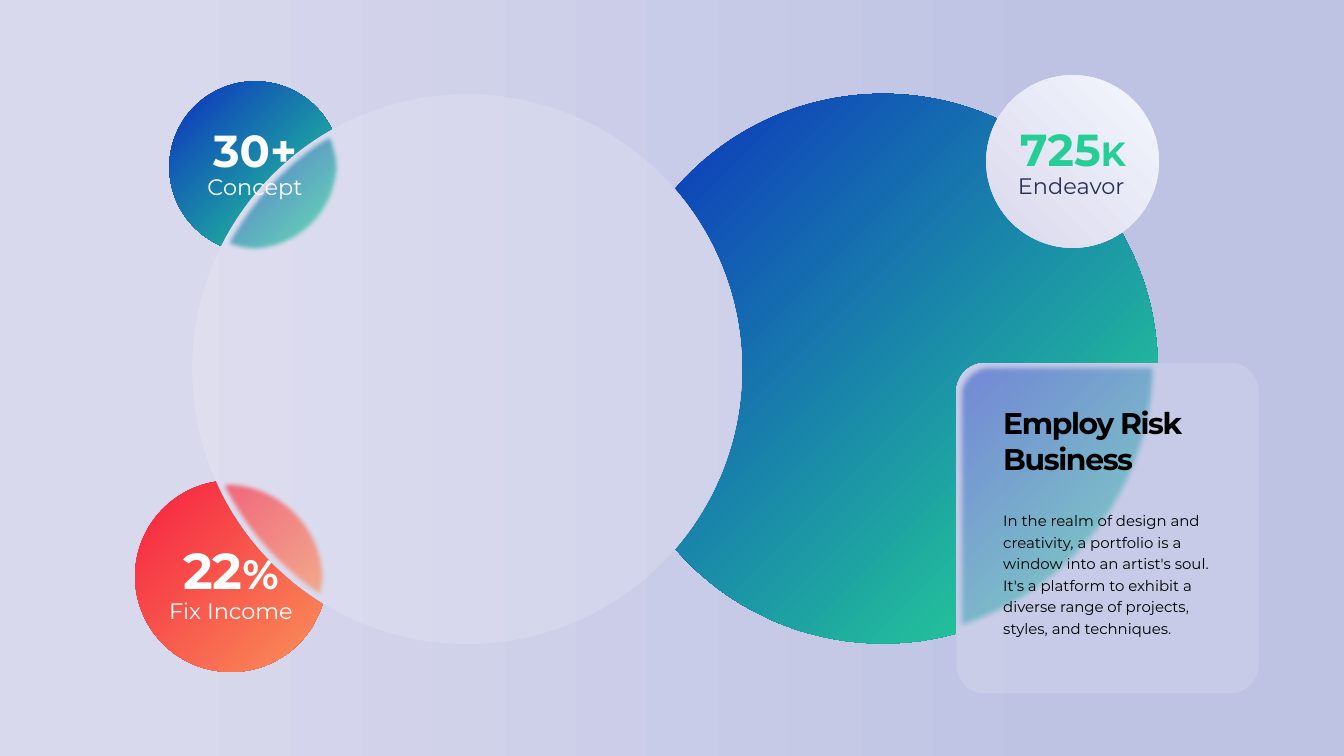
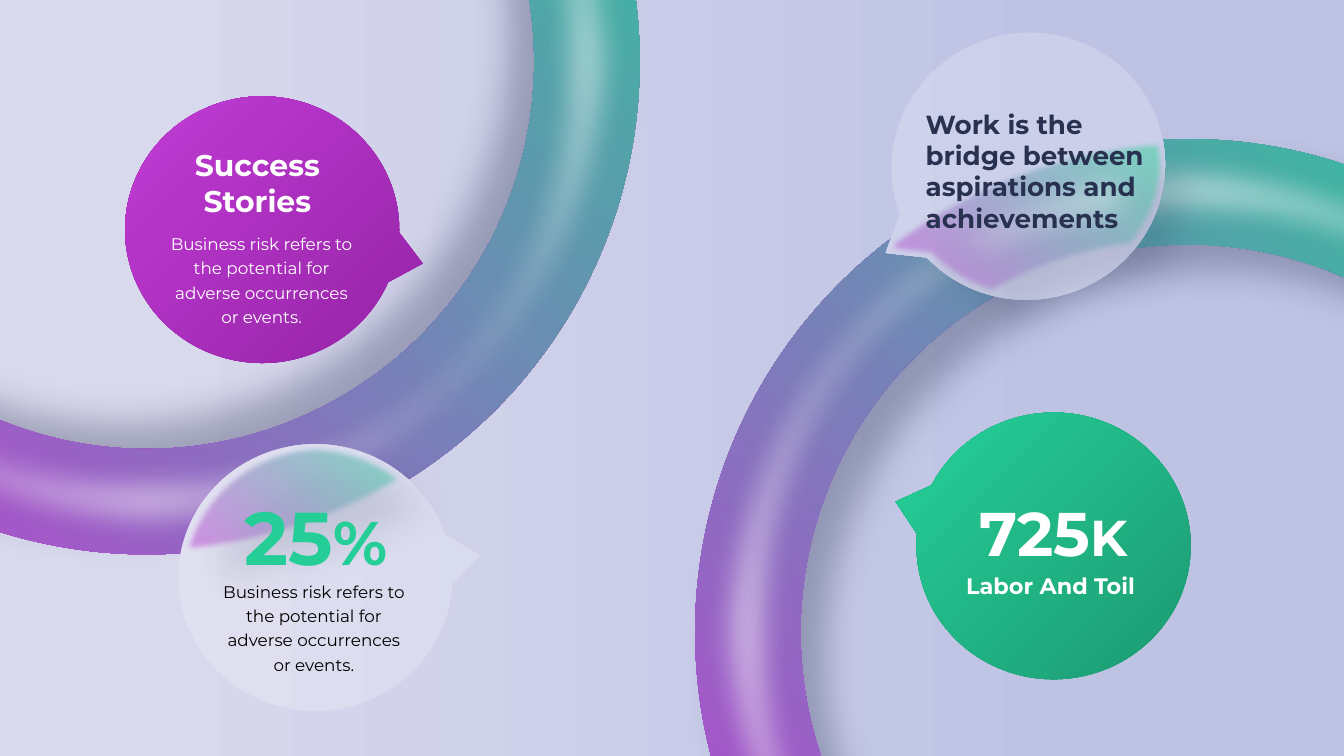
from dataclasses import dataclass

import pptx
import pptx.dml.color
import pptx.enum.shapes
import pptx.enum.text
import pptx.oxml.ns
import pptx.util
from lxml import etree

Pt = pptx.util.Pt
qn = pptx.oxml.ns.qn
SHAPES = pptx.enum.shapes.MSO_SHAPE
ALIGN = pptx.enum.text.PP_ALIGN


@dataclass(frozen=True)
class Blend:
    """Gradient: (position, colour) stops, then an angle or the focus (left, top, right, bottom)."""
    stops: tuple
    angle: int = 0
    focus: tuple = ()


BOTTOM_RIGHT, TOP_RIGHT, TOP_LEFT = (100, 100, 0, 0), (100, 0, 0, 100), (0, 0, 100, 100)


@dataclass(frozen=True)
class Theme:
    font: str = "Montserrat"
    white: str = "FFFFFF"
    black: str = "000000"
    navy: str = "283250"
    backdrop: Blend = Blend(((11, "D9D9ED"), (80, "BEC3E4")))
    ocean: Blend = Blend(((11, "25CE97"), (100, "0B2EC0")), focus=BOTTOM_RIGHT)
    sunset: Blend = Blend(((11, "F98657"), (100, "F61F40")), focus=BOTTOM_RIGHT)
    pearl: Blend = Blend(((0, "F4F6FE"), (100, "D9D9ED")), focus=TOP_RIGHT)
    aurora: Blend = Blend(((0, "25CE97"), (100, "C13CD5")), focus=TOP_RIGHT)
    violet: Blend = Blend(((0, "C13CD5"), (100, "9724A8")), focus=TOP_LEFT)
    emerald: Blend = Blend(((0, "25CE97"), (100, "1C9A71")), focus=TOP_LEFT)
    figure_slant: Blend = Blend(((11, "25CE97"), (80, "1C46F2")), angle=225)
    figure_flat: Blend = Blend(((11, "25CE97"), (80, "1C46F2")))
    # Shadows: colour, opacity, blur, distance, direction
    circle_shadow: tuple = ("282F4E", 15, 68, 73, 145)
    card_shadow: tuple = ("283250", 21, 29, 57, 154)
    ring_shadow: tuple = ("283250", 33, 39, 39, 45)
    ring_shadow_back: tuple = ("283250", 33, 39, 39, 225)
    bubble_shadow: tuple = ("283250", 21, 22, 24, 135)
    frost_edge: int = 5
    bubble_edge: int = 6
    gloss_edge: int = 32
    body: int = 16
    note: int = 18
    label: int = 24
    quote: int = 28
    heading: int = 32


THEME = Theme()


def add_child(parent, tag, **attributes):
    child = etree.SubElement(parent, qn(tag))
    for name, value in attributes.items():
        child.set(name, str(value))
    return child


def add_colour(parent, colour, opacity=100):
    node = add_child(parent, "a:srgbClr", val=colour)
    if opacity < 100:
        add_child(node, "a:alpha", val=opacity * 1000)


def paint(fill, host, colour, opacity=100):
    """Give a fill a plain colour or a Blend; host is the element that holds the fill."""
    if isinstance(colour, Blend):
        fill.gradient()
        gradient = host.find(".//" + qn("a:gradFill"))
        gradient.clear()
        gradient.set("rotWithShape", "1")
        stops = add_child(gradient, "a:gsLst")
        for position, stop_colour in colour.stops:
            add_colour(add_child(stops, "a:gs", pos=position * 1000), stop_colour, opacity)
        if colour.focus:
            radial = add_child(gradient, "a:path", path="circle")
            sides = {side: share * 1000 for side, share in zip("ltrb", colour.focus)}
            add_child(radial, "a:fillToRect", **sides)
        else:
            add_child(gradient, "a:lin", ang=colour.angle * 60000, scaled=0)
    else:
        fill.solid()
        fill.fore_color.rgb = pptx.dml.color.RGBColor.from_string(colour)
        if opacity < 100:
            node = host.find(".//" + qn("a:srgbClr"))
            add_child(node, "a:alpha", val=opacity * 1000)


def bend(shape, parts):
    """Turn the straight segments that belong to six-number parts into Bezier curves."""
    segments = list(shape._element.spPr.iter(qn("a:lnTo")))
    for segment, part in zip(segments, parts):
        if len(part) == 6:
            curve = etree.Element(qn("a:cubicBezTo"))
            for x, y in zip(part[::2], part[1::2]):
                add_child(curve, "a:pt", x=Pt(x) - shape.left, y=Pt(y) - shape.top)
            segment.getparent().replace(segment, curve)


def write(frame, *lines, size, colour, bold=False, align=ALIGN.LEFT, spacing=None, tracking=0):
    """Write one paragraph per line; a line is a text or a list of (text, size) spans."""
    for index, line in enumerate(lines):
        para = frame.paragraphs[0] if index == 0 else frame.add_paragraph()
        para.alignment = align
        if spacing:
            para.line_spacing = spacing
        for text, span_size in [(line, size)] if isinstance(line, str) else line:
            span = para.add_run()
            span.text = text
            span.font.size, span.font.bold = Pt(span_size), bold
            span.font.name = THEME.font
            properties = span._r.get_or_add_rPr()
            paint(span.font.fill, properties, colour)
            if tracking:
                properties.set("spc", str(int(tracking * 100)))


class Builder:
    def __init__(self, theme):
        self.theme = theme
        self.deck = pptx.Presentation()
        self.deck.slide_width, self.deck.slide_height = Pt(1440), Pt(810)

    def page(self):
        self.slide = self.deck.slides.add_slide(self.deck.slide_layouts[6])
        paint(self.slide.background.fill, self.slide._element, self.theme.backdrop)
        self.ungroup()

    def group(self):
        self.canvas = self.slide.shapes.add_group_shape().shapes

    def ungroup(self):
        self.canvas = self.slide.shapes

    def finish(self, shape, fill, opacity=100, shadow=None, soft=0):
        """Set fill and effects; without a fill the shape shows the page backdrop."""
        shape.shadow.inherit = False
        shape.line.fill.background()
        properties = shape._element.spPr
        if fill:
            paint(shape.fill, properties, fill, opacity)
        else:
            shape._element.set("useBgFill", "1")
        effects = properties.find(qn("a:effectLst"))
        if shadow:
            colour, strength, blur, distance, direction = shadow
            cast = add_child(effects, "a:outerShdw", blurRad=Pt(blur), dist=Pt(distance),
                             dir=direction * 60000, algn="ctr", rotWithShape=0)
            add_colour(cast, colour, strength)
        if soft:
            add_child(effects, "a:softEdge", rad=Pt(soft))
        return shape

    def shape(self, kind, at, fill=None, adjust=(), flip=False, turn=0, **finish):
        shape = self.canvas.add_shape(kind, *map(Pt, at))
        for index, value in enumerate(adjust):
            shape.adjustments[index] = value
        if flip:
            shape._element.spPr.find(qn("a:xfrm")).set("flipH", "1")
        shape.rotation = turn
        return self.finish(shape, fill, **finish)

    def circle(self, left, top, size, fill):
        self.shape(SHAPES.OVAL, (left, top, size, size), fill)

    def outline(self, parts, fill, **finish):
        """Draw a closed outline of (x, y) corners and six-number Bezier curves."""
        start, *rest = [tuple(map(Pt, part[-2:])) for part in parts]
        pen = self.canvas.build_freeform(*start)
        pen.add_line_segments(rest, close=True)
        shape = pen.convert_to_shape()
        bend(shape, parts[1:])
        self.finish(shape, fill, **finish)

    def glass(self, kind, at, frosts, shadow, sheen=15, **form):
        """Pane over the backdrop, with frosted pieces of what lies behind it and a pale sheen."""
        self.group()
        self.shape(kind, at, shadow=shadow, **form)
        for parts, fill, finish in frosts:
            self.outline(parts, fill, **finish)
        pane = self.shape(kind, at, self.theme.white, opacity=sheen, **form)
        pane.line.width = Pt(1.5)
        edge = pane.line._get_or_add_ln()
        paint(pane.line.fill, edge, self.theme.white, opacity=0)
        self.ungroup()

    def ring(self, left, top, shadow, size=1056.2, inset=9.4):
        self.group()
        self.shape(SHAPES.DONUT, (left, top, size, size), self.theme.aurora, adjust=(0.107,),
                   shadow=shadow)
        inner = size - 2 * inset
        self.shape(SHAPES.DONUT, (left + inset, top + inset, inner, inner), self.theme.white,
                   opacity=56, adjust=(0.09,), soft=self.theme.gloss_edge)
        self.ungroup()

    def bubble(self, left, top, fill, **form):
        at = (left, top, *BUBBLE)
        self.group()
        self.shape(SHAPES.OVAL_CALLOUT, at, shadow=self.theme.bubble_shadow, **form)
        self.shape(SHAPES.OVAL_CALLOUT, at, fill, **form)
        self.ungroup()

    def glass_bubble(self, left, top, tint, gloss, **form):
        frosts = [(tint, self.theme.aurora, dict(opacity=67, shadow=self.theme.ring_shadow,
                                                 soft=self.theme.bubble_edge)),
                  (gloss, self.theme.white, dict(opacity=56, soft=self.theme.gloss_edge))]
        self.glass(SHAPES.OVAL_CALLOUT, (left, top, *BUBBLE), frosts,
                   self.theme.bubble_shadow, sheen=20, **form)

    def text(self, at, *lines, **style):
        box = self.canvas.add_textbox(*map(Pt, at))
        box.text_frame.word_wrap = True
        box.text_frame.auto_size = pptx.enum.text.MSO_AUTO_SIZE.SHAPE_TO_FIT_TEXT
        write(box.text_frame, *lines, **style)

    def centred(self, at, *lines, **style):
        self.text(at, *lines, align=ALIGN.CENTER, **style)


BUBBLE = (293.8, 285.8)
RISK_NOTE = "Business risk refers to the potential for adverse occurrences or events."

CONCEPT_OVERLAP = [
    (355.7, 139), (357.8, 143.3), (362.2, 154.1, 365, 166.3, 365, 179.3),
    (365, 229.7, 324, 270.7, 273.6, 270.7), (260.6, 270.7, 248.4, 268.6, 237.6, 263.5),
    (236.9, 263.5), (241.2, 254.9), (264.2, 213.1, 296.6, 177.1, 335.5, 150.5)]
INCOME_OVERLAP = [
    (247.7, 514.8), (303.8, 514.8, 349.9, 560.9, 349.9, 617),
    (349.9, 624.2, 349.2, 631.4, 347.8, 637.9), (346.3, 645.8), (335.5, 639.4),
    (292.3, 609.8, 257.8, 570.2, 234.7, 522.7), (231.8, 516.2), (236.9, 515.5),
    (240.5, 514.8, 244.1, 514.8, 247.7, 514.8)]
CARD_OVERLAP = [
    (1055.5, 388.8), (1239.8, 388.8), (1239.8, 394.6),
    (1239.8, 527, 1152.7, 638.6, 1033.2, 676.1), (1024.6, 678.2), (1024.6, 419.8),
    (1024.6, 402.5, 1039, 388.8, 1055.5, 388.8)]
PERCENT_TINT = [
    (333.4, 475.9), (369.4, 475.2, 404.6, 486.7, 432, 508.3), (437.8, 514.1), (432, 518.4),
    (366.5, 558, 292.3, 583.9, 212.4, 591.8), (194.4, 593.3), (195.8, 585.4),
    (208.8, 534.2, 250.6, 491.8, 306, 479.5), (315.4, 477.4, 324.7, 476.6, 333.4, 475.9)]
PERCENT_GLOSS = [
    (332.6, 475.9), (364.3, 474.5, 394.6, 483.8, 420.5, 500.4), (427, 505.4), (418.3, 511.2),
    (354.2, 550.1, 280.8, 576, 202.3, 583.9), (195.1, 583.9), (198.7, 572.4),
    (214.6, 526.3, 254.2, 490.3, 305.3, 478.8), (313.9, 477.4, 323.3, 475.9, 332.6, 475.9)]
QUOTE_TINT = [
    (1245.6, 149), (1245.6, 151.9), (1252.8, 191.5, 1242.7, 231.8, 1217.5, 264.2),
    (1216.1, 265.7), (1209.6, 266.4), (1161.4, 273.6, 1116, 289.4, 1075, 311.8),
    (1065.6, 316.8), (1060.6, 316.1), (1035.4, 308.9, 1012.3, 295.2, 992.9, 275.8),
    (949, 270.7), (954.7, 254.9), (956.9, 253.4), (1031, 198, 1121, 161.3, 1219, 151.2)]
QUOTE_GLOSS = [
    (1246.3, 158.4), (1247.8, 165.6), (1249.9, 196.6, 1242, 227.5, 1225.4, 254.2),
    (1224.7, 254.2), (1208.2, 256.3), (1152, 265, 1098.7, 284.4, 1052.6, 313.2),
    (1051.2, 313.9), (1048.3, 312.5), (1027.4, 305.3, 1008.7, 293, 992.9, 276.5),
    (949, 271.4), (961.9, 260.6), (1041.8, 200.9, 1139.8, 163.4, 1245.6, 158.4)]


def build_circles(show):
    theme = show.theme
    label = dict(size=theme.label, colour=theme.white)
    show.page()
    show.circle(651.5, 100.5, 589, theme.ocean)
    show.circle(144.7, 514.8, 205.2, theme.sunset)
    show.circle(181.4, 87.1, 183.6, theme.ocean)
    show.circle(1056.7, 80.6, 185, theme.pearl)
    show.centred((1070.6, 126.7, 157.7, 65.5), [("725", 48), ("K", 36)], size=48,
                 colour=theme.figure_slant, bold=True)
    show.centred((1075.7, 180.7, 144, 36), "Endeavor", size=theme.label, colour=theme.navy)
    show.centred((182.2, 573.8, 130.3, 72.7), [("22", 54), ("%", 44)], size=54,
                 colour=theme.white, bold=True)
    show.centred((168.5, 635.8, 157.7, 36), "Fix Income", **label)

    frost = dict(opacity=78, soft=theme.frost_edge)
    show.glass(SHAPES.OVAL, (205.9, 101, 589, 589),
               [(CONCEPT_OVERLAP, theme.ocean, frost), (INCOME_OVERLAP, theme.sunset, frost)],
               theme.circle_shadow, turn=90)
    show.glass(SHAPES.ROUNDED_RECTANGLE, (1024.6, 388.8, 324, 354.2),
               [(CARD_OVERLAP, theme.ocean, dict(opacity=56, soft=theme.bubble_edge))],
               theme.card_shadow, adjust=(0.096,))
    show.text((1067.8, 429.8, 236.9, 85), "Employ Risk Business", size=theme.heading,
              colour=theme.black, bold=True, tracking=-1.5)
    show.text((1067.8, 541, 253.4, 146.9),
              "In the realm of design and creativity, a portfolio is a window into an artist's "
              "soul. It's a platform to exhibit a diverse range of projects, styles, and "
              "techniques.", size=theme.body, colour=theme.black, spacing=1.2)
    show.centred((194.4, 128.2, 157.7, 65.5), "30+", size=48, colour=theme.white, bold=True)
    show.centred((201.2, 182.2, 144, 36), "Concept", **label)


def build_bubbles(show):
    theme = show.theme
    strong = dict(colour=theme.white, bold=True)
    note = dict(size=theme.note, spacing=1.2)
    show.page()
    show.ring(-370.8, -462.2, theme.ring_shadow_back)
    show.ring(744.8, 149, theme.ring_shadow)
    show.bubble(134, 103.2, theme.violet, adjust=(0.586, 0.127))
    show.bubble(982, 442.1, theme.emerald, adjust=(0.576, -0.166), flip=True)
    show.centred((1023.8, 527, 210.2, 87.1), [("725", 66), ("K", 54)], size=66, **strong)
    show.centred((1008, 609.1, 241.9, 36), "Labor And Toil ", size=theme.label, **strong)
    show.centred((173.5, 154.1, 213.8, 85), "Success ", "Stories ", size=theme.heading, **strong)
    show.centred((173.7, 242.8, 213.1, 112.3), RISK_NOTE, colour=theme.white, **note)

    show.glass_bubble(191, 475.9, PERCENT_TINT, PERCENT_GLOSS, adjust=(0.601, -0.083))
    show.centred((229, 615.5, 214.6, 112.3), RISK_NOTE, colour=theme.black, **note)
    show.centred((233.3, 522.7, 210.2, 104.4), [("25", 80), ("%", 66)], size=80,
                 colour=theme.figure_flat, bold=True)
    show.glass_bubble(954.7, 35.2, QUOTE_TINT, QUOTE_GLOSS, adjust=(0.581, 0.184),
                      flip=True, turn=345.8)
    show.text((984.8, 112.2, 254.9, 143.3),
              "Work is the bridge between aspirations and achievements",
              size=theme.quote, colour=theme.navy, bold=True)


def main():
    show = Builder(THEME)
    build_circles(show)
    build_bubbles(show)
    show.deck.save("out.pptx")


if __name__ == "__main__":
    main()
